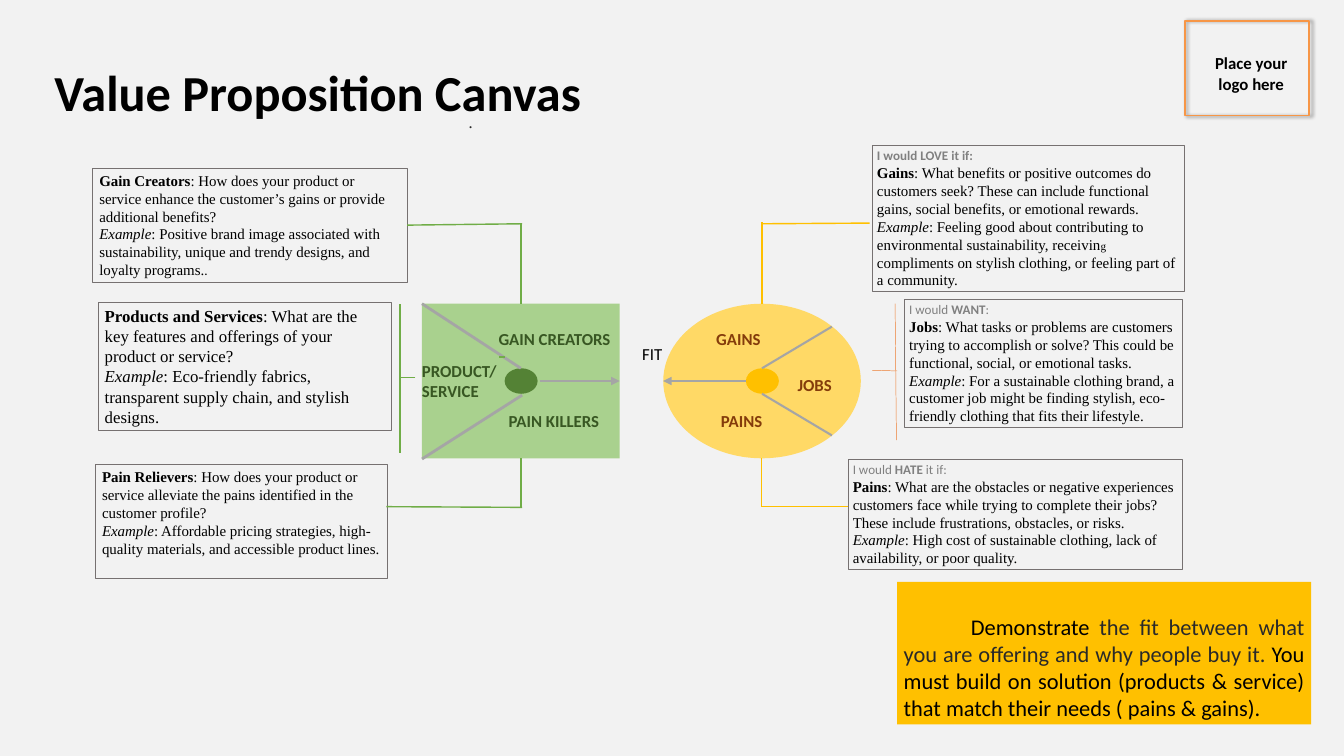
import pptx
import pptx.dml.color
import pptx.enum.shapes
import pptx.enum.text
import pptx.oxml
import pptx.oxml.ns
import pptx.util
from pptx.util import Inches

SHAPE = pptx.enum.shapes.MSO_SHAPE
ALIGN = pptx.enum.text.PP_ALIGN
ANCHOR = pptx.enum.text.MSO_ANCHOR
NAMESPACE = pptx.oxml.ns.nsdecls("a")
SANS, SERIF = "Calibri", "Times New Roman"
GREEN, AMBER, ORANGE, GREY = "70AD47", "FFC000", "ED7D31", "A5A5A5"
BROWN, FOREST, PROMPT = "843C0B", "385723", "808080"


def color(code):
    return pptx.dml.color.RGBColor.from_string(code)


def span(text, **style):
    """Pair a text with its format: size, font, ink, bold, italic."""
    return text, style


def question(name, ask, example, size=16):
    """Two paragraphs: a named question and its example."""
    style = dict(size=size, font=SERIF)
    return [
        [span(name, bold=True, **style), span(": " + ask, **style)],
        [span("Example", italic=True, **style), span(": " + example, **style)],
    ]


def prompt(word, before="I would ", after=":"):
    style = dict(size=14, ink=PROMPT)
    return [span(before, **style), span(word, bold=True, **style), span(after, **style)]


class Canvas:
    def __init__(self, page):
        self.page = page
        page.background.fill.solid()
        page.background.fill.fore_color.rgb = color("F2F2F2")

    def set_text(self, box, paragraphs, align=ALIGN.LEFT, anchor=ANCHOR.TOP,
                 inset=(0.1, 0.05), wrap=True, leading=None, indent=0):
        frame = box.text_frame
        frame.word_wrap = wrap
        frame.vertical_anchor = anchor
        frame.margin_left = frame.margin_right = Inches(inset[0])
        frame.margin_top = frame.margin_bottom = Inches(inset[1])
        for index, spans in enumerate(paragraphs):
            para = frame.add_paragraph() if index else frame.paragraphs[0]
            para.alignment = align
            if leading:
                para.line_spacing = pptx.util.Pt(leading)
            if indent:
                para._p.get_or_add_pPr().set("indent", str(Inches(indent)))
            for text, style in spans:
                self.add_span(para, text, **style)

    def add_span(self, para, text, size=18, font=SANS, ink="000000", bold=False, italic=False):
        run = para.add_run()
        run.text = text
        run.font.size = pptx.util.Pt(size)
        run.font.name = font
        run.font.bold = bold
        run.font.italic = italic
        run.font.color.rgb = color(ink)

    def label(self, left, top, width, height, paragraphs, **layout):
        box = self.page.shapes.add_textbox(*map(Inches, (left, top, width, height)))
        self.set_text(box, paragraphs, **layout)

    def shape(self, kind, left, top, width, height, fill=None, line=None, weight=0.75):
        shape = self.page.shapes.add_shape(kind, *map(Inches, (left, top, width, height)))
        shape.shadow.inherit = False
        if fill:
            shape.fill.solid()
            shape.fill.fore_color.rgb = color(fill)
        else:
            shape.fill.background()
        if line:
            shape.line.color.rgb = color(line)
            shape.line.width = pptx.util.Pt(weight)
        else:
            shape.line.fill.background()
        return shape

    def note(self, left, top, width, height, paragraphs, **layout):
        box = self.shape(SHAPE.RECTANGLE, left, top, width, height, line="767171")
        self.set_text(box, paragraphs, **layout)
        return box

    def line(self, start, end, ink, weight=1.5, arrow=False):
        line = self.page.shapes.add_connector(
            pptx.enum.shapes.MSO_CONNECTOR.STRAIGHT, *map(Inches, (*start, *end)))
        line.line.color.rgb = color(ink)
        line.line.width = pptx.util.Pt(weight)
        properties = line._element.spPr
        if arrow:
            properties.get_or_add_ln().append(
                pptx.oxml.parse_xml(f'<a:tailEnd {NAMESPACE} type="triangle"/>'))
        properties.append(pptx.oxml.parse_xml(f"<a:effectLst {NAMESPACE}/>"))
        return line

    def cast_shadow(self, shape):
        properties = shape._element.spPr
        properties.remove(properties.find(pptx.oxml.ns.qn("a:effectLst")))
        properties.append(pptx.oxml.parse_xml(
            f'<a:effectLst {NAMESPACE}><a:outerShdw blurRad="50800" dist="38100" dir="0">'
            '<a:srgbClr val="000000"><a:alpha val="40000"/></a:srgbClr>'
            "</a:outerShdw></a:effectLst>"))


def draw_heading(canvas):
    canvas.label(0.81, 0.6, 13.49, 1.12,
                 [[span("Value Proposition Canvas", size=54, bold=True)]],
                 inset=(0, 0), leading=87.5)
    canvas.label(17.84, 0.75, 1.56, 0.68, [[span("Place your logo here", bold=True)]],
                 align=ALIGN.CENTER, inset=(0.07, 0.04))
    canvas.cast_shadow(canvas.shape(SHAPE.RECTANGLE, 17.63, 0.31, 1.85, 1.41,
                                    line="F79646", weight=2))


def draw_customer(canvas):
    canvas.shape(SHAPE.FLOWCHART_CONNECTOR, 9.87, 4.52, 2.94, 2.3, fill="FFD966")
    canvas.shape(SHAPE.FLOWCHART_CONNECTOR, 11.1, 5.48, 0.49, 0.38, fill=AMBER)
    canvas.line((11.1, 5.67), (9.87, 5.67), GREY, 3, arrow=True)
    canvas.line((12.38, 4.86), (11.34, 5.48), GREY, 2.25)
    canvas.line((12.38, 6.48), (11.34, 5.86), GREY, 2.25)
    for word, left, top in (("JOBS", 11.77, 5.52), ("PAINS", 10.63, 6.06), ("GAINS", 10.56, 4.84)):
        canvas.label(left, top, 1.41, 0.4, [[span(word, ink=BROWN, bold=True)]])

    for start, end in (((11.34, 4.52), (11.34, 3.3)), ((12.94, 3.32), (11.33, 3.33)),
                       ((11.33, 7.54), (11.33, 6.82)), ((12.62, 7.54), (11.33, 7.54))):
        canvas.line(start, end, AMBER)
    canvas.line((12.98, 5.51), (13.35, 5.52), ORANGE, 0.5)
    canvas.line((13.34, 6.55), (13.32, 4.52), ORANGE, 0.5)

    tight = dict(inset=(0.07, 0.04))
    name, example = question(
        "Gains",
        "What benefits or positive outcomes do customers seek? These can include functional "
        "gains, social benefits, or emotional rewards.",
        "Feeling good about contributing to environmental sustainability, receivin")
    example += [span("g ", size=12, font=SERIF),
                span("compliments on stylish clothing, or feeling part of a community.",
                     size=16, font=SERIF)]
    love = [span("I would LOVE it if:", size=14, ink=PROMPT, bold=True)]
    canvas.note(12.98, 2.16, 4.65, 2.18, [love, name, example], **tight)
    canvas.note(12.62, 6.83, 4.97, 1.64, [prompt("HATE", after=" it if:")] + question(
        "Pains",
        "What are the obstacles or negative experiences customers face while trying to "
        "complete their jobs? These include frustrations, obstacles, or risks.",
        "High cost of sustainable clothing, lack of availability, or poor quality."), **tight)
    canvas.note(13.46, 4.45, 4.13, 1.91, [prompt("WANT")] + question(
        "Jobs",
        "What tasks or problems are customers trying to accomplish or solve? This could be "
        "functional, social, or emotional tasks.",
        "For a sustainable clothing brand, a customer job might be finding stylish, "
        "eco-friendly clothing that fits their lifestyle."), **tight)


def draw_offer(canvas):
    square = canvas.shape(SHAPE.RECTANGLE, 6.28, 4.52, 2.94, 2.3, fill="A9D18E")
    canvas.shape(SHAPE.FLOWCHART_CONNECTOR, 7.51, 5.48, 0.49, 0.38, fill="548235")
    canvas.line((8.03, 5.67), (9.22, 5.67), GREY, 3, arrow=True).end_connect(square, 3)
    canvas.line((7.75, 5.48), (6.28, 4.52), GREY, 3)
    canvas.line((7.77, 5.88), (6.28, 6.83), GREY, 3)
    for words, left, top, height in ((["GAIN CREATORS"], 7.32, 4.84, 0.4),
                                     (["PAIN KILLERS"], 7.47, 6.06, 0.4),
                                     (["PRODUCT/", "SERVICE"], 6.18, 5.32, 0.71)):
        canvas.label(left, top, 2.05, height,
                     [[span(word, ink=FOREST, bold=True)] for word in words])

    name, example = question(
        "Gain Creators",
        "How does your product or service enhance the customer’s gains or provide "
        "additional benefits?",
        "Positive brand image associated with sustainability, unique and trendy designs, "
        "and loyalty programs.")
    creators = canvas.note(1.38, 2.5, 4.68, 1.7, [name, example + [span(".", size=14)]])
    canvas.note(1.42, 6.91, 4.34, 1.7, question(
        "Pain Relievers",
        "How does your product or service alleviate the pains identified in the customer profile?",
        "Affordable pricing strategies, high-quality materials, and accessible product lines."))
    canvas.note(1.46, 4.5, 4.37, 1.9, question(
        "Products and Services",
        "What are the key features and offerings of your product or service?",
        "Eco-friendly fabrics, transparent supply chain, and stylish designs.", size=18))

    canvas.line((7.75, 4.52), (7.75, 3.33), GREEN).begin_connect(square, 0)
    canvas.line((7.77, 3.33), (6.06, 3.35), GREEN).end_connect(creators, 3)
    canvas.line((7.75, 7.54), (7.75, 6.82), GREEN).end_connect(square, 2)
    for start, end in (((7.77, 7.55), (5.75, 7.54)), ((7.52, 5.31), (7.43, 5.31)),
                       ((5.95, 6.74), (5.95, 4.52)), ((6.18, 5.62), (5.95, 5.62))):
        canvas.line(start, end, GREEN)


def draw_fit(canvas):
    canvas.label(8.77, 5.06, 1.87, 0.4, [[span("FIT")]], align=ALIGN.CENTER)
    canvas.label(6.87, 1.62, 0.27, 0.4, [[span(".", font="TeX Gyre Schola", ink="292929")]],
                 wrap=False)
    banner = canvas.shape(SHAPE.RECTANGLE, 13.35, 8.66, 6.16, 2.12, fill=AMBER)
    canvas.set_text(banner, [[
        span("Demonstrate ", size=24),
        span("the fit between what you are offering and why people buy it. ",
             size=24, ink="292929"),
        span("You must build on solution (products & service) that match their needs "
             "( pains & gains).", size=24),
    ]], align=ALIGN.JUSTIFY, anchor=ANCHOR.BOTTOM, indent=1)


def main():
    deck = pptx.Presentation()
    deck.slide_width, deck.slide_height = Inches(20), Inches(11.25)
    canvas = Canvas(deck.slides.add_slide(deck.slide_layouts[6]))
    draw_heading(canvas)
    draw_customer(canvas)
    draw_offer(canvas)
    draw_fit(canvas)
    deck.save("out.pptx")


if __name__ == "__main__":
    main()
